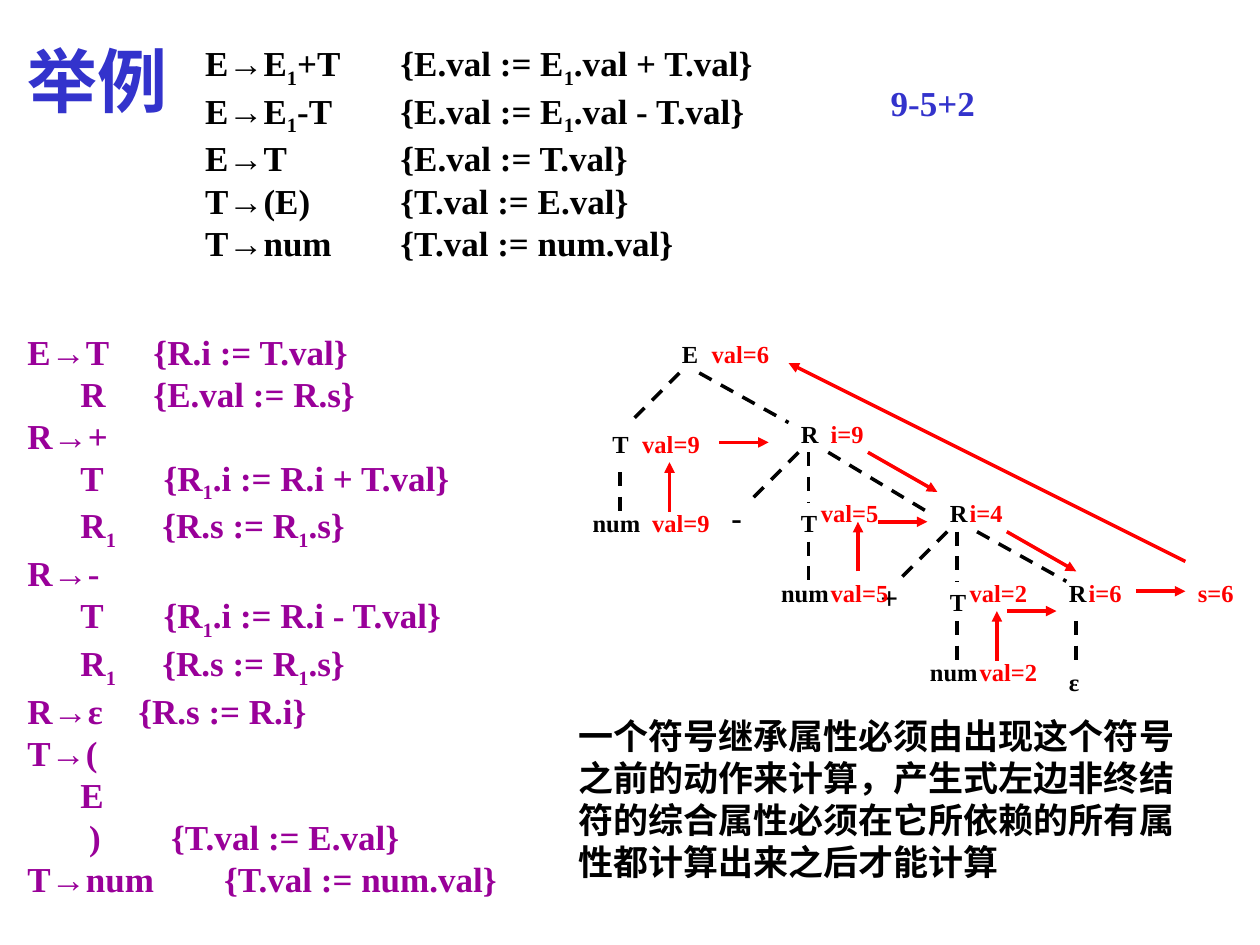
from lxml.etree import SubElement
from pptx import Presentation
from pptx.dml.color import RGBColor
from pptx.enum.dml import MSO_LINE
from pptx.enum.shapes import MSO_CONNECTOR
from pptx.enum.text import MSO_ANCHOR, PP_ALIGN
from pptx.oxml.ns import qn
from pptx.util import Inches, Pt

COLORS = {"title": "3333CC", "rule": "000000", "scheme": "990099", "value": "FF0000"}
LATIN, CJK = "Times New Roman", "Noto Sans CJK SC"
UNIT = 10 / 127  # the tree sits on a grid of 127 columns
TREE_X, TREE_Y = 4.92, 2.96

# Left side, action; "_1" marks a subscript
GRAMMAR = [
    "E→E_1+T\t{E.val := E_1.val + T.val}",
    "E→E_1-T\t{E.val := E_1.val - T.val}",
    "E→T\t{E.val := T.val}",
    "T→(E)\t{T.val := E.val}",
    "T→num\t{T.val := num.val}",
]
# Text, tab stops in inches
SCHEME = [
    ("E→T\t{R.i := T.val}", [1]),
    ("\tR\t{E.val := R.s}", [0.42, 1]),
    ("R→+", []),
    ("\tT\t{R_1.i := R.i + T.val}", [0.42, 1.08]),
    ("\tR_1\t{R.s := R_1.s}", [0.42, 1.07]),
    ("R→-", []),
    ("\tT\t{R_1.i := R.i - T.val}", [0.42, 1.08]),
    ("\tR_1\t{R.s := R_1.s}", [0.42, 1.07]),
    ("R→ε\t{R.s := R.i}", [0.88]),
    ("T→(", []),
    ("\tE", [0.42]),
    ("\t)\t{T.val := E.val}", [0.49, 1.14]),
    ("T→num\t{T.val := num.val}", [1.56]),
]
NOTE = ("一个符号继承属性必须由出现这个符号之前的动作来计算，产生式左边非终结符的"
        "综合属性必须在它所依赖的所有属性都计算出来之后才能计算")

# Text, column, row
NODES = [
    ("E", 5, -4), ("T", -2, 5), ("num", -4, 13), ("R", 17, 4), ("-", 10, 12),
    ("T", 17, 13), ("num", 15, 20), ("R", 32, 12), ("+", 25, 20), ("T", 32, 21),
    ("num", 30, 28), ("R", 44, 20), ("ε", 44, 29),
]
VALUES = [
    ("val=6", 8, -4), ("val=9", 1, 5), ("val=9", 2, 13), ("i=9", 20, 4),
    ("val=5", 19, 12), ("val=5", 20, 20), ("i=4", 34, 12), ("val=2", 34, 20),
    ("val=2", 35, 28), ("i=6", 46, 20), ("s=6", 57, 20),
]
# Column and row of the start, then of the end
BRANCHES = [
    (6, 0, 1, 5), (8, 0, 17, 5), (0, 10, 0, 14),
    (18, 8, 13, 13), (19, 8, 19, 13), (21, 8, 31, 14), (19, 17, 19, 21),
    (33, 16, 28, 21), (34, 16, 34, 21), (36, 16, 45, 21), (34, 25, 34, 29),
    (46, 25, 46, 29),
]
FLOWS = [
    (5, 14, 5, 9), (10, 7, 15, 7), (25, 8, 32, 12),
    (24, 20, 24, 15), (26, 15, 31, 15), (39, 16, 46, 20),
    (38, 29, 38, 24), (39, 24, 44, 24), (52, 22, 57, 22), (57, 19, 17, -1),
]


def format_run(r, size, color, latin=LATIN):
    for name, value in {"name": latin, "size": Pt(size), "bold": True}.items():
        setattr(r.font, name, value)
    r.font.color.rgb = RGBColor.from_string(COLORS[color])
    SubElement(r._r.get_or_add_rPr(), qn("a:ea"), typeface=CJK)


def add_tabs(p, stops):
    tabs = SubElement(p._p.get_or_add_pPr(), qn("a:tabLst"))
    for stop in stops:
        SubElement(tabs, qn("a:tab"), pos=str(Inches(stop)), algn="l")


def add_text(s, lines, box, size, color):
    """Lines are pairs of text and tab stops."""
    tf = s.shapes.add_textbox(*map(Inches, box)).text_frame
    tf.word_wrap = True
    for i, (text, stops) in enumerate(lines):
        p = tf.add_paragraph() if i else tf.paragraphs[0]
        if stops:
            add_tabs(p, stops)
        for j, part in enumerate(text.split("_1")):
            pieces = [("1", "-25000"), (part, "0")] if j else [(part, "0")]
            for piece, baseline in pieces:
                if piece:
                    r = p.add_run()
                    r.text = piece
                    format_run(r, size, color)
                    r._r.get_or_add_rPr().set("baseline", baseline)


def grid(col, row):
    return TREE_X + col * UNIT, TREE_Y + row * UNIT


def add_label(s, text, col, row, color):
    width = {1: 4, 3: 8, 5: 10}[len(text)] * UNIT
    if "=" in text and len(text) == 3:
        width = 7 * UNIT
    size, height = (18, 0.4) if text in "+-" else (14, 0.34)
    add_text(s, [(text, [])], (*grid(col, row), width, height), size, color)


def add_line(s, ends, color, arrow):
    points = [Inches(v) for v in (*grid(*ends[:2]), *grid(*ends[2:]))]
    line = s.shapes.add_connector(MSO_CONNECTOR.STRAIGHT, *points)
    line.line.color.rgb = RGBColor.from_string(COLORS[color])
    line.line.width = Pt(2)
    if arrow:
        SubElement(line.line._get_or_add_ln(), qn("a:tailEnd"), type="triangle")
    else:
        line.line.dash_style = MSO_LINE.DASH
    SubElement(line._element.spPr, qn("a:effectLst"))


def add_title(s, text):
    title = s.shapes.title
    box = {"left": 0.12, "top": 0.05, "width": 1.89, "height": 1.17}
    for name, value in box.items():
        setattr(title, name, Inches(value))
    tf = title.text_frame
    tf.vertical_anchor = MSO_ANCHOR.MIDDLE
    p = tf.paragraphs[0]
    p.alignment = PP_ALIGN.LEFT
    r = p.add_run()
    r.text = text
    format_run(r, 40, "title", CJK)


def main():
    prs = Presentation()
    prs.slide_width, prs.slide_height = Inches(10), Inches(7.5)
    s = prs.slides.add_slide(prs.slide_layouts[5])
    add_title(s, "举例")
    add_text(s, [(t, [1.55]) for t in GRAMMAR], (1.53, 0.28, 5, 1.86), 20, "rule")
    add_text(s, SCHEME, (0.12, 2.57, 5, 4.62), 20, "scheme")
    add_text(s, [("9-5+2", [])], (6.97, 0.6, 2.68, 0.44), 20, "title")
    for ends in BRANCHES:
        add_line(s, ends, "rule", arrow=False)
    for node in NODES:
        add_label(s, *node, "rule")
    for value in VALUES:
        add_label(s, *value, "value")
    for ends in FLOWS:
        add_line(s, ends, "value", arrow=True)
    add_text(s, [(NOTE, [])], (4.49, 5.62, 5, 1.44), 20, "rule")
    prs.save("out.pptx")


if __name__ == "__main__":
    main()
